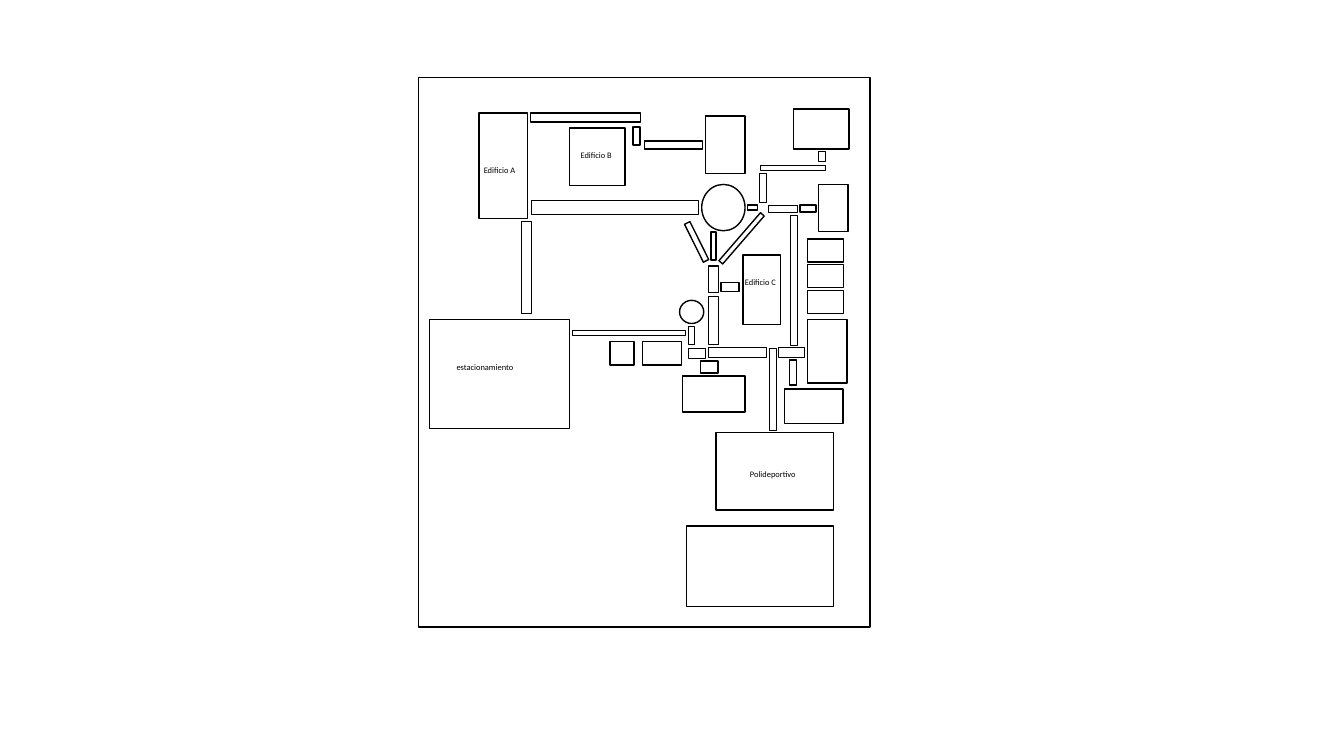
from pptx import Presentation
from pptx.dml.color import RGBColor
from pptx.enum.shapes import MSO_SHAPE
from pptx.enum.text import MSO_AUTO_SIZE, PP_ALIGN
from pptx.util import Inches, Pt

# Every place below is left, top, width, height in inches from the campus corner.
BLOCKS = [
    (0.6, 0.35, 0.48, 1.05),      # Edificio A
    (1.5, 0.5, 0.55, 0.57),       # Edificio B
    (3.22, 1.76, 0.37, 0.69),     # Edificio C
    (0.11, 2.4, 1.39, 1.08),      # estacionamiento
    (2.95, 3.52, 1.17, 0.77),     # Polideportivo
    (2.66, 4.45, 1.46, 0.8),
    (2.85, 0.38, 0.39, 0.57),
    (3.72, 0.31, 0.55, 0.4),
    (3.97, 1.06, 0.29, 0.47),
    (3.86, 2.4, 0.39, 0.63),
    (3.63, 3.09, 0.58, 0.34),
    (2.62, 2.96, 0.62, 0.36),
    (2.22, 2.62, 0.39, 0.23),
    (1.9, 2.62, 0.24, 0.23),
]
ROW = [(3.86, 1.6 + 0.255 * i, 0.36, 0.23) for i in range(3)]
ROUNDS = [(2.81, 1.06, 0.43, 0.46), (2.59, 2.21, 0.24, 0.23)]

# A fifth number is the turn in degrees.
PATHS = [
    (1.12, 1.22, 1.66, 0.14),
    (1.11, 0.35, 1.09, 0.09),
    (2.13, 0.49, 0.07, 0.18),
    (2.24, 0.63, 0.58, 0.08),
    (1.02, 1.43, 0.1, 0.91),
    (1.53, 2.51, 1.12, 0.05),
    (2.68, 2.47, 0.06, 0.18),
    (2.68, 2.69, 0.17, 0.1),
    (2.88, 2.68, 0.57, 0.1),
    (3.57, 2.68, 0.26, 0.1),
    (3.48, 2.69, 0.07, 0.81),
    (3.68, 2.8, 0.07, 0.25),
    (3.69, 1.37, 0.07, 1.29),
    (2.73, 1.42, 0.06, 0.42, 333.6),
    (2.9, 1.53, 0.05, 0.28),
    (3.18, 1.28, 0.05, 0.63, 40.9),
    (2.88, 1.87, 0.1, 0.26),
    (2.88, 2.17, 0.1, 0.48),
    (2.8, 2.81, 0.17, 0.12),
    (3, 2.03, 0.18, 0.09),
    (3.29, 1.24, 0.05, 0.1, 90),
    (3.58, 1.16, 0.07, 0.29, 90),
    (3.83, 1.22, 0.07, 0.16, 90),
    (3.27, 1.06, 0.29, 0.07, 90),
    (3.69, 0.57, 0.05, 0.65, 90),
    (3.95, 0.75, 0.1, 0.07, 90),
]
LABELS = [
    ("Edificio A", 0.55, 0.82, 0.63, PP_ALIGN.LEFT),
    ("estacionamiento", 0.28, 2.77, 0.87, PP_ALIGN.LEFT),
    ("Edificio B", 1.51, 0.67, 0.63, PP_ALIGN.LEFT),
    ("Edificio C", 3.14, 1.93, 0.63, PP_ALIGN.LEFT),
    ("Polideportivo", 2.93, 3.83, 1.17, PP_ALIGN.CENTER),
]


def color(code):
    return RGBColor.from_string(code)


def outline(slide, x, y, w, h, turn=0, kind=MSO_SHAPE.RECTANGLE):
    shape = slide.shapes.add_shape(kind, Inches(x), Inches(y), Inches(w), Inches(h))
    shape.shadow.inherit = False
    shape.fill.background()
    shape.line.color.rgb = color("000000")
    shape.line.width = Pt(1)
    shape.rotation = turn


def label(slide, text, x, y, w, h=0.2, size=6, font="Calibri",
          ink="000000", align=PP_ALIGN.LEFT):
    frame = slide.shapes.add_textbox(Inches(x), Inches(y), Inches(w), Inches(h)).text_frame
    frame.word_wrap = True
    frame.auto_size = MSO_AUTO_SIZE.SHAPE_TO_FIT_TEXT
    para = frame.paragraphs[0]
    para.alignment = align
    run = para.add_run()
    run.text = text
    run.font.size = Pt(size)
    run.font.name = font
    run.font.color.rgb = color(ink)


def campus(slide, left, top, width, height):
    for x, y, *rest in BLOCKS + ROW + PATHS:
        outline(slide, left + x, top + y, *rest)
    for x, y, w, h in ROUNDS:
        outline(slide, left + x, top + y, w, h, kind=MSO_SHAPE.OVAL)
    outline(slide, left, top, width, height)
    for text, x, y, w, align in LABELS:
        label(slide, text, left + x, top + y, w, align=align)


def main():
    deck = Presentation()
    deck.slide_width, deck.slide_height = Inches(13.33), Inches(7.5)
    slide = deck.slides.add_slide(deck.slide_layouts[6])
    campus(slide, 4.15, 0.77, 4.48, 5.45)
    deck.save("out.pptx")


if __name__ == "__main__":
    main()
